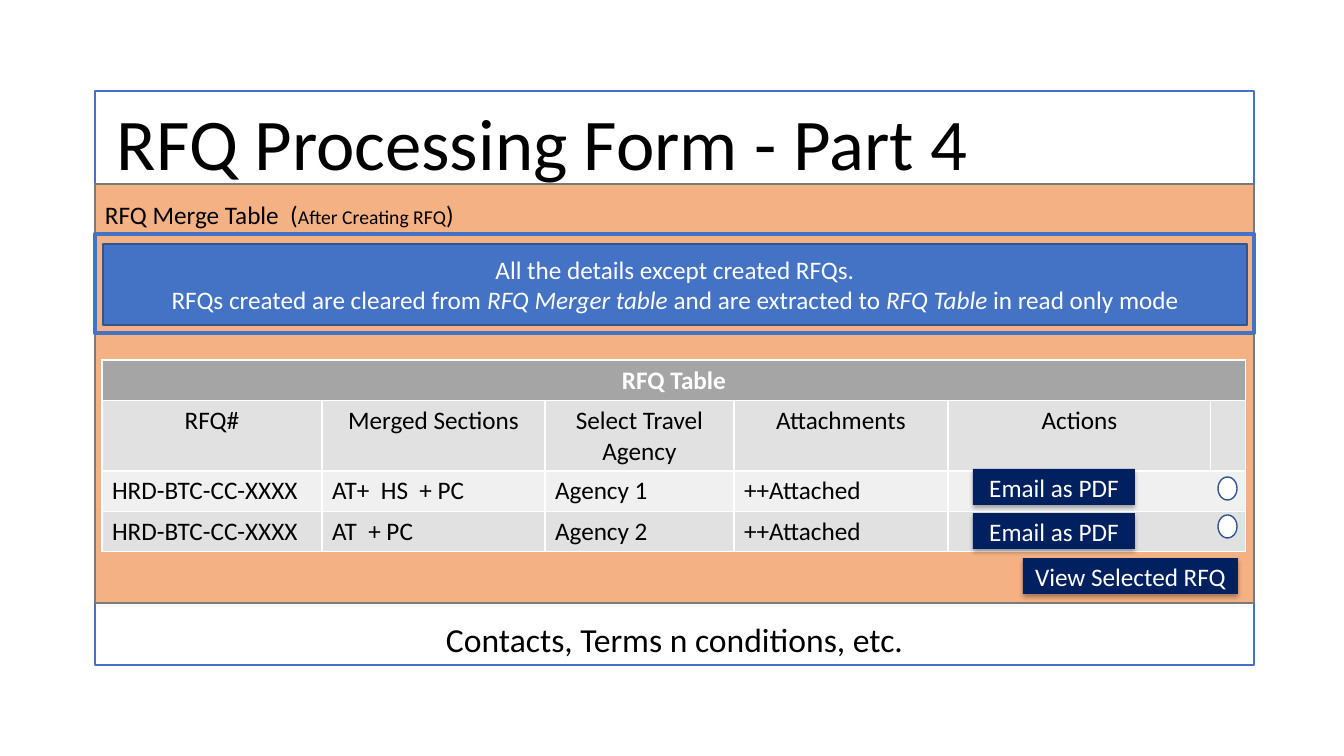
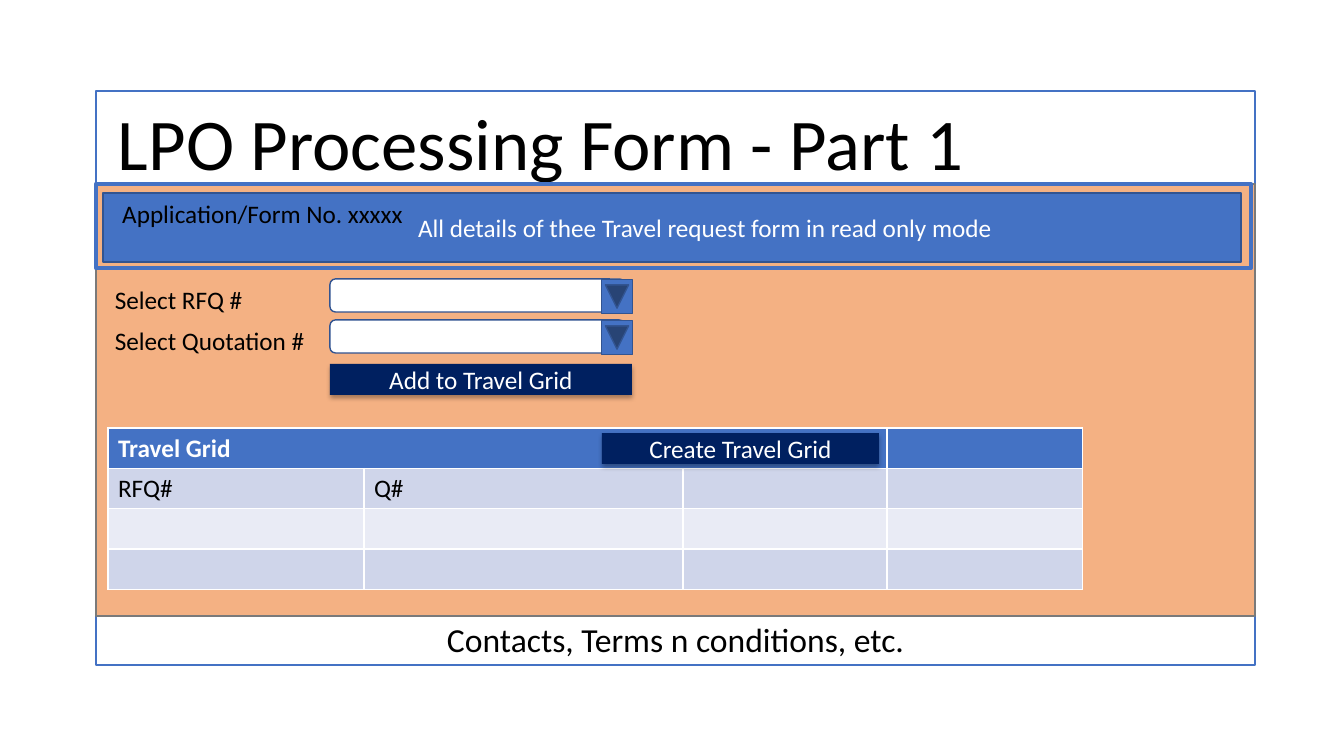
from dataclasses import dataclass

from lxml.etree import SubElement
from pptx import Presentation
from pptx.dml.color import RGBColor
from pptx.enum.shapes import MSO_SHAPE
from pptx.enum.text import MSO_ANCHOR, PP_ALIGN
from pptx.oxml.ns import qn
from pptx.shapes.autoshape import Shape
from pptx.slide import Slide
from pptx.text.text import TextFrame, _Paragraph
from pptx.util import Emu, Pt

# Shared look
FONT = "Calibri"
WHITE = RGBColor(0xFF, 0xFF, 0xFF)
BLACK = RGBColor(0x00, 0x00, 0x00)
BLUE = RGBColor(0x44, 0x72, 0xC4)
DARK_BLUE = RGBColor(0x32, 0x54, 0x91)
NAVY = RGBColor(0x00, 0x20, 0x60)
ORANGE = RGBColor(0xF4, 0xB1, 0x83)
LINE_GRAY = RGBColor(0x7A, 0x7A, 0x7A)
HEADER_GRAY = RGBColor(0xA5, 0xA5, 0xA5)
GRAY_BAND = RGBColor(0xE1, 0xE1, 0xE1)
GRAY_LIGHT = RGBColor(0xF0, 0xF0, 0xF0)
BLUE_BAND = RGBColor(0xCF, 0xD5, 0xEA)
BLUE_LIGHT = RGBColor(0xE9, 0xEB, 0xF5)

EMU_PER_PIXEL = 914400 / 100.8
FORM_TOP, FORM_WIDTH, FORM_HEIGHT = 91, 1159, 574
BODY_TOP = 184


def px(pixels: float) -> Emu:
    return Emu(round(pixels * EMU_PER_PIXEL))


@dataclass(frozen=True)
class Box:
    left: int
    top: int
    width: int
    height: int

    def emu(self) -> tuple[Emu, Emu, Emu, Emu]:
        return px(self.left), px(self.top), px(self.width), px(self.height)


@dataclass(frozen=True)
class Run:
    text: str
    size: int = 18
    color: RGBColor = BLACK
    bold: bool = False
    italic: bool = False


@dataclass(frozen=True)
class Button:
    label: str
    box: Box


@dataclass(frozen=True)
class Span:
    row: int
    first: int
    last: int


@dataclass(frozen=True)
class Grid:
    left: int
    top: int
    columns: list[int]
    heights: list[int]
    rows: list[list[str]]
    spans: list[Span]
    header_fill: RGBColor
    band_fills: tuple[RGBColor, RGBColor]
    centered_rows: int = 0


def add_runs(paragraph: _Paragraph, runs: list[Run], align: PP_ALIGN) -> None:
    paragraph.alignment = align
    for item in runs:
        run = paragraph.add_run()
        run.text = item.text
        run.font.name = FONT
        run.font.size = Pt(item.size)
        run.font.color.rgb = item.color
        run.font.bold = item.bold
        run.font.italic = item.italic


def write(frame: TextFrame, lines: list[list[Run]], align: PP_ALIGN = PP_ALIGN.LEFT) -> None:
    frame.word_wrap = True
    for index, runs in enumerate(lines):
        paragraph = frame.add_paragraph() if index else frame.paragraphs[0]
        add_runs(paragraph, runs, align)


def add_text(slide: Slide, box: Box, run: Run, align: PP_ALIGN = PP_ALIGN.LEFT) -> None:
    write(slide.shapes.add_textbox(*box.emu()).text_frame, [[run]], align)


def add_panel(slide: Slide, box: Box, fill: RGBColor | None, line: RGBColor | None,
              kind: MSO_SHAPE = MSO_SHAPE.RECTANGLE, line_width: int = 1) -> Shape:
    shape = slide.shapes.add_shape(kind, *box.emu())
    shape.shadow.inherit = False
    if fill is None:
        shape.fill.background()
    else:
        shape.fill.solid()
        shape.fill.fore_color.rgb = fill
    if line is None:
        shape.line.fill.background()
    else:
        shape.line.color.rgb = line
        shape.line.width = Pt(line_width)
    return shape


def add_form(slide: Slide, title: str, left: int, body_height: int) -> Shape:
    """Draw the form frame, title and footer; return the orange body."""
    add_panel(slide, Box(left, FORM_TOP, FORM_WIDTH, FORM_HEIGHT), WHITE, BLUE)
    body = add_panel(slide, Box(left, BODY_TOP, FORM_WIDTH, body_height), ORANGE, LINE_GRAY)
    add_text(slide, Box(left + 12, 93, 1121, 99), Run(title, 52))
    add_text(slide, Box(left - 1, 614, 1161, 50),
             Run("Contacts, Terms n conditions, etc.", 24), PP_ALIGN.CENTER)
    return body


def add_read_only_band(slide: Slide, outline: Box, band: Box, lines: list[list[Run]]) -> Shape:
    add_panel(slide, outline, None, BLUE, line_width=3)
    shape = add_panel(slide, band, BLUE, DARK_BLUE)
    shape.text_frame.vertical_anchor = MSO_ANCHOR.MIDDLE
    write(shape.text_frame, lines, PP_ALIGN.CENTER)
    return shape


def add_button(slide: Slide, button: Button) -> None:
    shape = add_panel(slide, button.box, NAVY, None)
    effects = shape._element.spPr.find(qn("a:effectLst"))
    shadow = SubElement(effects, qn("a:outerShdw"), blurRad=str(Pt(3.5)),
                        dist=str(Pt(2.2)), dir="5400000", rotWithShape="0")
    color = SubElement(shadow, qn("a:srgbClr"), val="000000")
    SubElement(color, qn("a:alpha"), val="32000")
    shape.text_frame.vertical_anchor = MSO_ANCHOR.MIDDLE
    write(shape.text_frame, [[Run(button.label, color=WHITE)]], PP_ALIGN.CENTER)


def add_dropdown(slide: Slide, label: str, top: int) -> None:
    add_text(slide, Box(105, top, 225, 40), Run(label))
    add_panel(slide, Box(330, top, 295, 33), WHITE, DARK_BLUE, MSO_SHAPE.ROUNDED_RECTANGLE)
    arrow = add_panel(slide, Box(600, top + 2, 34, 31), BLUE, DARK_BLUE,
                      MSO_SHAPE.ACTION_BUTTON_FORWARD_OR_NEXT)
    arrow.rotation = 90


def add_grid(slide: Slide, grid: Grid) -> None:
    box = Box(grid.left, grid.top, sum(grid.columns), sum(grid.heights))
    table = slide.shapes.add_table(len(grid.rows), len(grid.columns), *box.emu()).table
    table.horz_banding = False
    for column, width in zip(table.columns, grid.columns):
        column.width = px(width)
    for row, height in zip(table.rows, grid.heights):
        row.height = px(height)
    for span in grid.spans:
        table.cell(span.row, span.first).merge(table.cell(span.row, span.last))
    for row_index, texts in enumerate(grid.rows):
        header = row_index == 0
        fill = grid.header_fill if header else grid.band_fills[(row_index - 1) % 2]
        align = PP_ALIGN.CENTER if row_index < grid.centered_rows else PP_ALIGN.LEFT
        for column_index in range(len(grid.columns)):
            cell = table.cell(row_index, column_index)
            cell.fill.solid()
            cell.fill.fore_color.rgb = fill
            if column_index < len(texts):
                run = Run(texts[column_index], color=WHITE if header else BLACK, bold=header)
                write(cell.text_frame, [[run]], align)


def build_rfq_slide(slide: Slide) -> None:
    body = add_form(slide, "RFQ Processing Form - Part 4", left=95, body_height=419)

    # Section heading at the top of the body
    body.text_frame.vertical_anchor = MSO_ANCHOR.TOP
    body.text_frame.margin_top = px(15)
    write(body.text_frame, [[Run("RFQ Merge Table  ("), Run("After Creating RFQ", 14), Run(")")]])

    # RFQ table
    add_grid(slide, Grid(
        left=102, top=360,
        columns=[220, 223, 189, 214, 263, 35],
        heights=[40, 70, 40, 40],
        rows=[
            ["RFQ Table"],
            ["RFQ#", "Merged Sections", "Select Travel Agency", "Attachments", "Actions"],
            ["HRD-BTC-CC-XXXX", "AT+  HS  + PC", "Agency 1", "++Attached"],
            ["HRD-BTC-CC-XXXX", "AT  + PC", "Agency 2", "++Attached"],
        ],
        spans=[Span(0, 0, 5), Span(2, 4, 5), Span(3, 4, 5)],
        header_fill=HEADER_GRAY, band_fills=(GRAY_BAND, GRAY_LIGHT), centered_rows=2))

    # Read-only details
    add_read_only_band(slide, Box(95, 234, 1159, 99), Box(103, 244, 1144, 81), [
        [Run("All the details except created RFQs.", color=WHITE)],
        [Run("RFQs created are cleared from ", color=WHITE),
         Run("RFQ Merger table ", color=WHITE, italic=True),
         Run("and are extracted to ", color=WHITE),
         Run("RFQ Table ", color=WHITE, italic=True),
         Run("in read only mode", color=WHITE)],
    ])

    # Row actions and selectors
    for button in (Button("Email as PDF", Box(973, 469, 162, 36)),
                   Button("Email as PDF", Box(973, 513, 162, 36)),
                   Button("View Selected RFQ", Box(1023, 558, 215, 36))):
        add_button(slide, button)
    for top in (477, 515):
        add_panel(slide, Box(1218, top, 19, 23), WHITE, DARK_BLUE, MSO_SHAPE.FLOWCHART_CONNECTOR)


def build_lpo_slide(slide: Slide) -> None:
    add_form(slide, "LPO Processing Form - Part 1", left=96, body_height=432)

    # Read-only details, moved right to clear the form number
    band = add_read_only_band(
        slide, Box(96, 184, 1155, 84), Box(103, 193, 1138, 69),
        [[Run("All details of thee Travel request form in read only mode", color=WHITE)]])
    band.text_frame.margin_left = px(76)
    add_text(slide, Box(105, 193, 315, 72), Run("Application/Form No. xxxxx"), PP_ALIGN.CENTER)

    # Selection fields
    for index, label in enumerate(("Select RFQ #", "Select Quotation #")):
        add_dropdown(slide, label, 279 + 41 * index)

    # Travel grid
    add_grid(slide, Grid(
        left=108, top=428,
        columns=[256, 319, 204, 196],
        heights=[40] * 4,
        rows=[["Travel Grid"], ["RFQ#", "Q#"], [], []],
        spans=[Span(0, 0, 2)],
        header_fill=BLUE, band_fills=(BLUE_BAND, BLUE_LIGHT)))
    for button in (Button("Add to Travel Grid", Box(330, 364, 302, 31)),
                   Button("Create Travel Grid", Box(602, 433, 277, 31))):
        add_button(slide, button)


def main() -> None:
    presentation = Presentation()
    presentation.slide_width = px(1344)
    presentation.slide_height = px(756)
    blank_layout = presentation.slide_layouts[6]
    for build in (build_rfq_slide, build_lpo_slide):
        build(presentation.slides.add_slide(blank_layout))
    presentation.save("out.pptx")


main()
